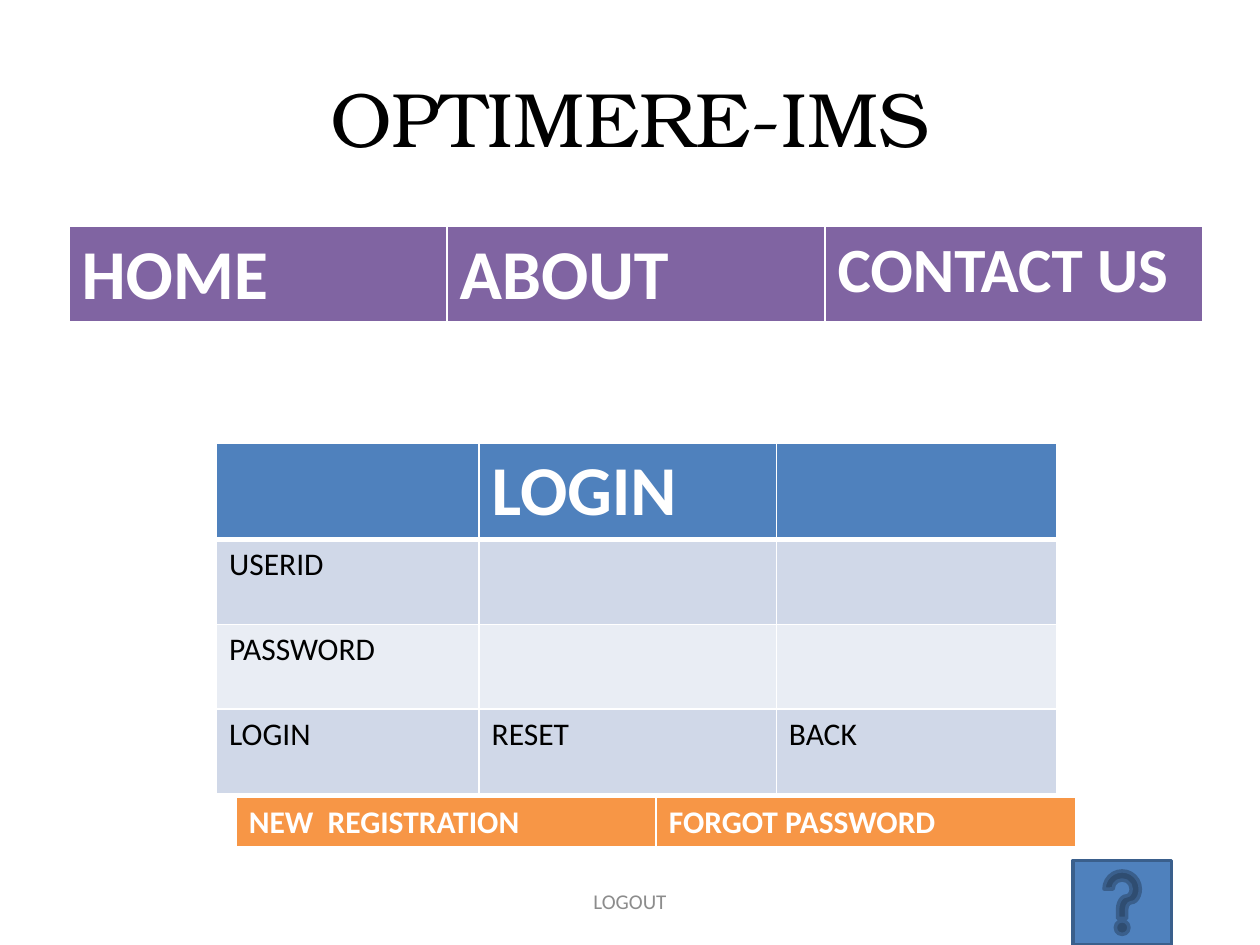
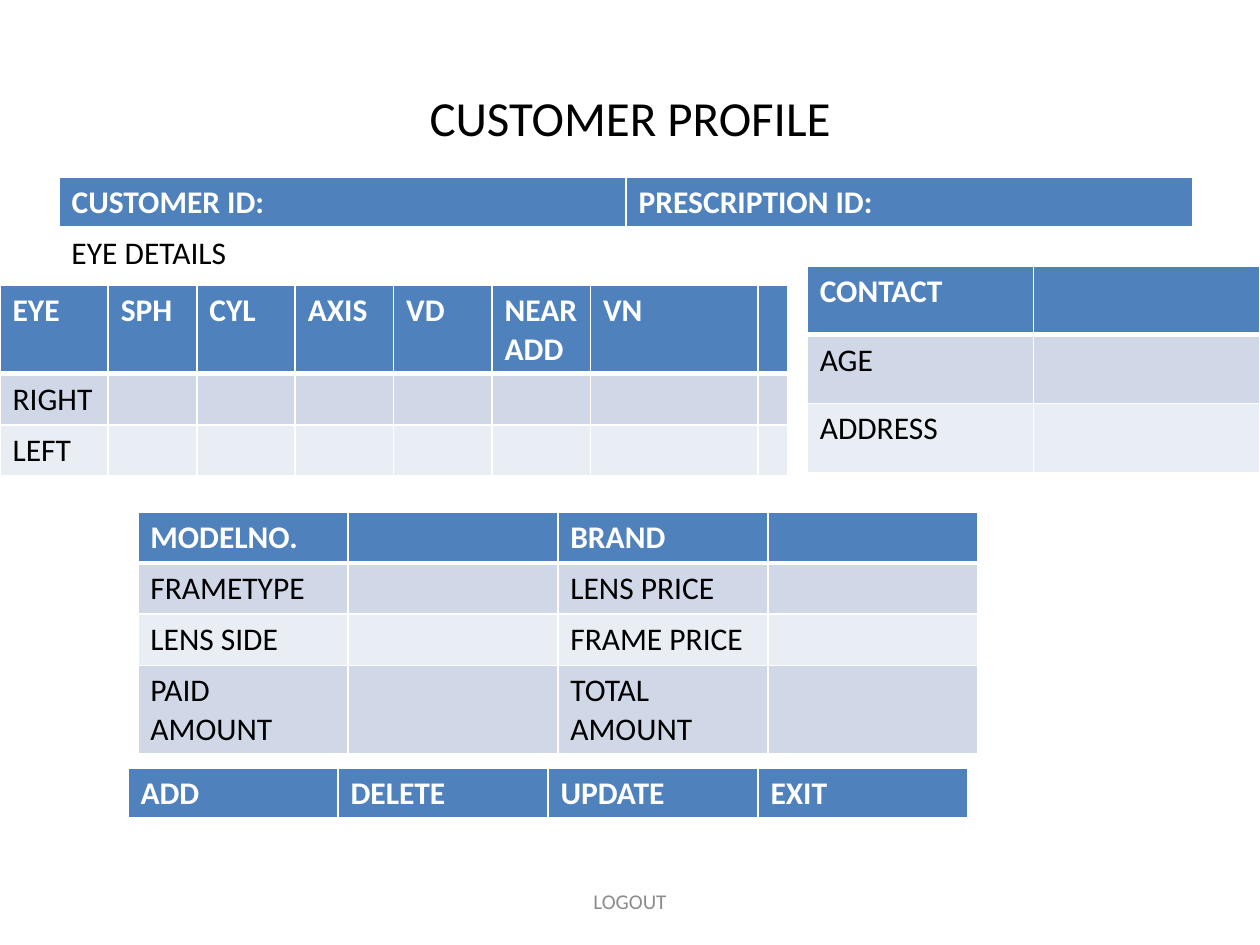
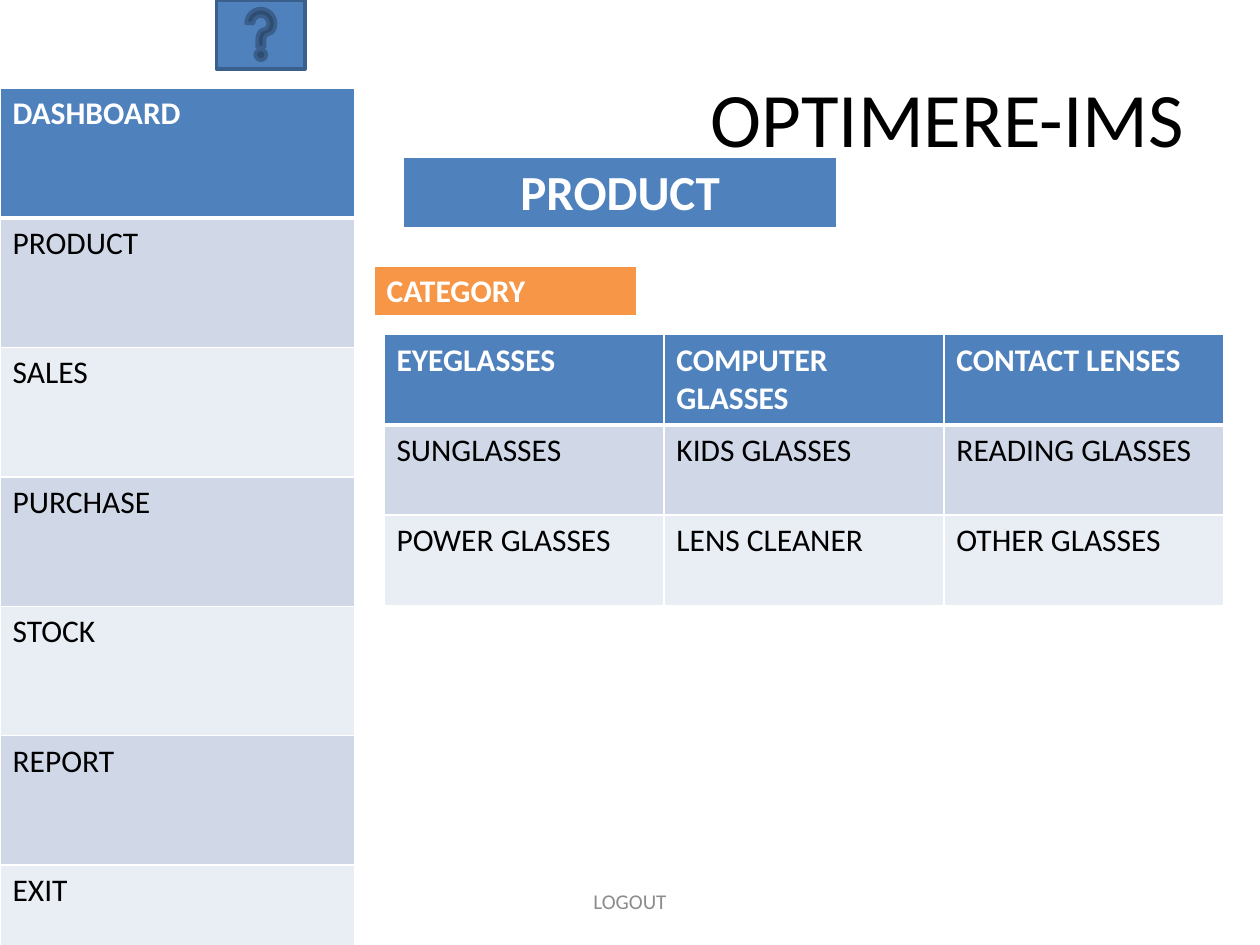
"""Build three screen mock-ups for an optical shop management system."""
from dataclasses import dataclass

from lxml import etree
from pptx import Presentation
from pptx.dml.color import RGBColor
from pptx.enum.shapes import MSO_SHAPE
from pptx.enum.text import MSO_ANCHOR, PP_ALIGN
from pptx.oxml.ns import qn
from pptx.util import Inches, Pt

HELP_BUTTON = MSO_SHAPE.ACTION_BUTTON_HELP
LEFT, CENTER, RIGHT = PP_ALIGN.LEFT, PP_ALIGN.CENTER, PP_ALIGN.RIGHT
TOP, MIDDLE = MSO_ANCHOR.TOP, MSO_ANCHOR.MIDDLE


@dataclass(frozen=True)
class Theme:
    blue: str = "4F81BD"
    purple: str = "8064A2"
    orange: str = "F79646"
    bands: tuple = ("D0D8E8", "E9EDF4")
    outline: str = "3A5F8C"
    white: str = "FFFFFF"
    black: str = "000000"
    grey: str = "8C8C8C"
    font: str = "Calibri"
    display_font: str = "TeX Gyre Bonum"
    title: int = 44
    menu: int = 40
    menu_small: int = 36
    heading: int = 28
    body: int = 18
    footer: int = 12
    thin: int = 1
    thick: int = 3


theme = Theme()
deck = Presentation()
deck.slide_width, deck.slide_height = Inches(10), Inches(7.5)
UNIT = deck.slide_height / 96
PAGE_COLUMNS = 128
FULL_WIDTH = 0.9 * PAGE_COLUMNS
TABLE_WIDTH = PAGE_COLUMNS * 2 / 3
LINE_ROW = 5.2


def write_text(frame, text, *, size=theme.body, color=theme.black, font=theme.font,
               bold=False, align=LEFT, anchor=TOP):
    """Fill a text frame with one formatted paragraph."""
    frame.word_wrap = True
    frame.vertical_anchor = anchor
    para = frame.paragraphs[0]
    para.alignment = align
    span = para.add_run()
    span.text = text
    span.font.size, span.font.name, span.font.bold = Pt(size), font, bold
    span.font.color.rgb = RGBColor.from_string(color)


def draw_table(page, left, top, widths, row_height, rows, *, head_fill=theme.blue,
               head_sizes=None, align=LEFT):
    """Draw a table with a header row and banded rows, measured in grid units."""
    height = round(row_height * UNIT)
    table = page.shapes.add_table(
        len(rows), len(widths), round(left * UNIT), round(top * UNIT),
        round(sum(widths) * UNIT), height * len(rows)).table
    for column, width in zip(table.columns, widths):
        column.width = round(width * UNIT)
    for row_index, texts in enumerate(rows):
        table.rows[row_index].height = height
        is_head = row_index == 0
        borders = {"a:lnL": theme.thin, "a:lnR": theme.thin}
        if is_head:
            borders["a:lnT"] = theme.thin
        borders["a:lnB"] = theme.thick if is_head else theme.thin
        for column_index, text in enumerate(texts):
            cell = table.cell(row_index, column_index)
            properties = cell._tc.get_or_add_tcPr()
            for tag, width in borders.items():
                border = etree.SubElement(properties, qn(tag), w=str(Pt(width)))
                fill = etree.SubElement(border, qn("a:solidFill"))
                etree.SubElement(fill, qn("a:srgbClr"), val=theme.white)
            cell.fill.solid()
            cell.fill.fore_color.rgb = RGBColor.from_string(
                head_fill if is_head else theme.bands[(row_index - 1) % 2])
            if text:
                size = head_sizes[column_index] if is_head and head_sizes else theme.body
                write_text(cell.text_frame, text, size=size, bold=is_head, align=align,
                           color=theme.white if is_head else theme.black)


titles = [
    ("OPTIMERE-IMS", dict(size=theme.title, font=theme.display_font, align=CENTER)),
    ("CUSTOMER PROFILE", dict(size=theme.heading, align=CENTER)),
    ("OPTIMERE-IMS", dict(size=theme.title, align=RIGHT)),
]
footer_format = dict(size=theme.footer, color=theme.grey, align=CENTER)
pages = []
for title, title_format in titles:
    page = deck.slides.add_slide(deck.slide_layouts[6])
    for text, text_format, area in (
            (title, title_format, (6.4, 3.84, FULL_WIDTH, 16)),
            ("LOGOUT", footer_format, (43.73, 89, 40.53, 5.1))):
        box = page.shapes.add_textbox(*(round(length * UNIT) for length in area))
        write_text(box.text_frame, text, anchor=MIDDLE, **text_format)
    pages.append(page)
login, profile, dashboard = pages

draw_table(login, 7, 23, [FULL_WIDTH / 3] * 3, 8, [("HOME", "ABOUT", "CONTACT US")],
           head_fill=theme.purple, head_sizes=(theme.menu, theme.menu, theme.menu_small))
draw_table(login, 22, 45, (26.67, 30.2, 28.46), 8.6, [
    ("", "LOGIN", ""),
    ("USERID", "", ""),
    ("PASSWORD", "", ""),
    ("LOGIN", "RESET", "BACK"),
], head_sizes=[theme.menu] * 3)
draw_table(login, 24, 81, [TABLE_WIDTH / 2] * 2, LINE_ROW,
           [("NEW  REGISTRATION", "FORGOT PASSWORD")], head_fill=theme.orange)

draw_table(profile, 6, 18, [FULL_WIDTH / 2] * 2, LINE_ROW,
           [("CUSTOMER ID:", "PRESCRIPTION ID:")])
box = profile.shapes.add_textbox(
    *(round(length * UNIT) for length in (6, 23, 24, 5.1)))
write_text(box.text_frame, "EYE DETAILS")
draw_table(profile, 0, 29, (11, 9, 10, 10, 10, 10, 17, 3), LINE_ROW, [
    ("EYE", "SPH", "CYL", "AXIS", "VD", "NEAR ADD", "VN", ""),
    ("RIGHT", *[""] * 7),
    ("LEFT", *[""] * 7),
])
draw_table(profile, 14, 52, [TABLE_WIDTH / 4] * 4, LINE_ROW, [
    ("MODELNO.", "", "BRAND", ""),
    ("FRAMETYPE", "", "LENS PRICE", ""),
    ("LENS SIDE", "", "FRAME PRICE", ""),
    ("PAID AMOUNT", "", "TOTAL AMOUNT", ""),
])
draw_table(profile, 13, 78, [TABLE_WIDTH / 4] * 4, LINE_ROW,
           [("ADD", "DELETE", "UPDATE", "EXIT")])
draw_table(profile, 82, 27, [23] * 2, 7,
           [("CONTACT", ""), ("AGE", ""), ("ADDRESS", "")])

sections = ("DASHBOARD", "PRODUCT", "SALES", "PURCHASE", "STOCK", "REPORT", "EXIT")
draw_table(dashboard, 0, 9, [36], 13.15, [(section,) for section in sections])
draw_table(dashboard, 41, 16, [44], 7, [("PRODUCT",)],
           head_sizes=[theme.heading], align=CENTER)
draw_table(dashboard, 39, 34, [TABLE_WIDTH / 3] * 3, 9.17, [
    ("EYEGLASSES", "COMPUTER GLASSES", "CONTACT LENSES"),
    ("SUNGLASSES", "KIDS GLASSES", "READING GLASSES"),
    ("POWER GLASSES", "LENS CLEANER", "OTHER GLASSES"),
])
draw_table(dashboard, 38, 27, [26.67], LINE_ROW, [("CATEGORY",)], head_fill=theme.orange)

for page, area in ((login, (109, 87.4, 10, 8.6)), (dashboard, (22, 0, 9, 7))):
    button = page.shapes.add_shape(HELP_BUTTON, *(round(length * UNIT) for length in area))
    button.shadow.inherit = False
    button.fill.solid()
    button.fill.fore_color.rgb = RGBColor.from_string(theme.blue)
    button.line.color.rgb = RGBColor.from_string(theme.outline)
    button.line.width = Pt(2)

deck.save("out.pptx")
